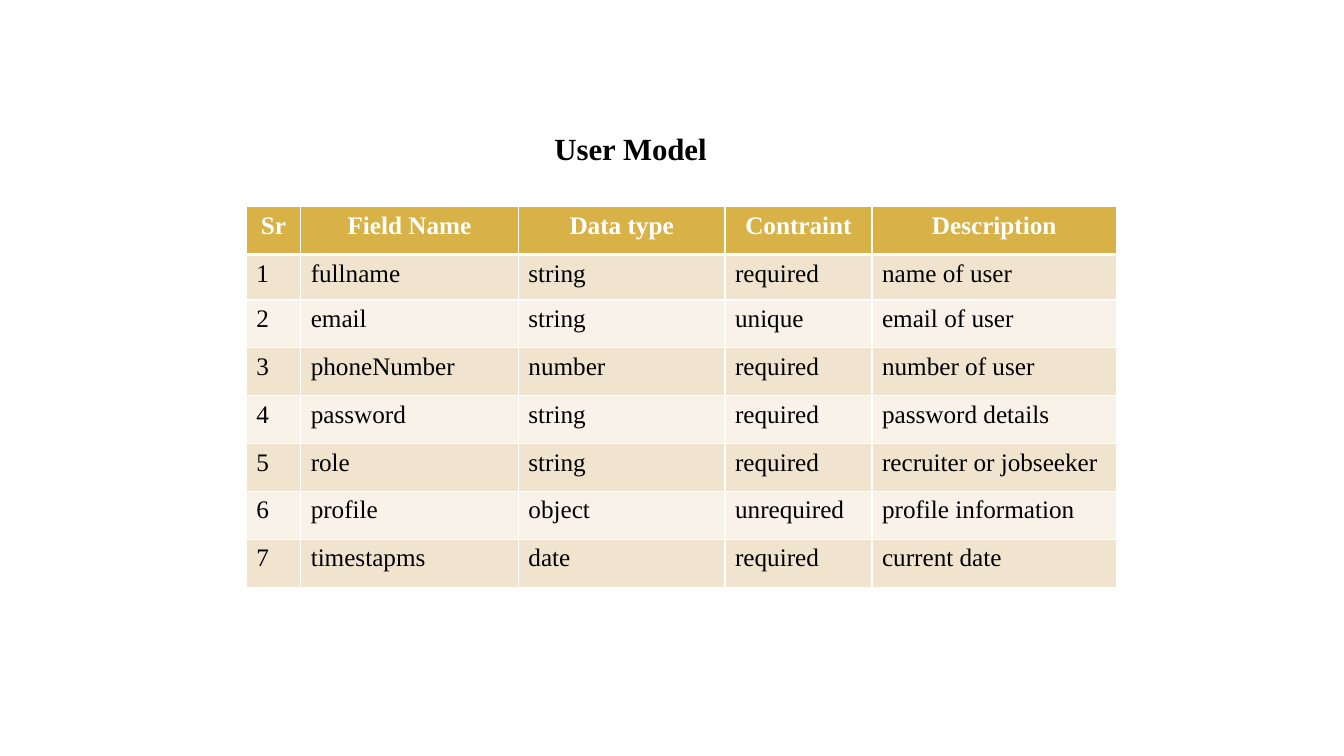
import lxml.etree
import pptx
import pptx.dml.color
import pptx.enum.text
import pptx.oxml.ns
import pptx.util

Pt = pptx.util.Pt
RGBColor = pptx.dml.color.RGBColor

FONT = "Times New Roman"
BLACK = RGBColor(0x00, 0x00, 0x00)
WHITE = RGBColor(0xFF, 0xFF, 0xFF)
GOLD = RGBColor(0xD9, 0xB2, 0x47)
SAND = RGBColor(0xF1, 0xE4, 0xCF)
CREAM = RGBColor(0xF8, 0xF2, 0xE9)

COLUMN_WIDTHS = [38.8, 155.5, 147.6, 105, 174.7]
HEADER_HEIGHT, FIRST_ROW_HEIGHT, ROW_HEIGHT = 34.2, 32.5, 34.2
USER_FIELDS = [
    ("Sr", "Field Name", "Data type", "Contraint", "Description"),
    ("1", "fullname", "string", "required", "name of user"),
    ("2", "email", "string", "unique", "email of user"),
    ("3", "phoneNumber", "number", "required", "number of user"),
    ("4", "password", "string", "required", "password details"),
    ("5", "role", "string", "required", "recruiter or jobseeker"),
    ("6", "profile", "object", "unrequired", "profile information"),
    ("7", "timestapms", "date", "required", "current date"),
]


def style_paragraph(paragraph, size, color, bold):
    font = paragraph.font
    font.name = FONT
    font.size = Pt(size)
    font.bold = bold
    font.color.rgb = color


def set_border(cell, side, width):
    """Add a white border; borders must come before the fill in the cell."""
    qn = pptx.oxml.ns.qn
    properties = cell._tc.get_or_add_tcPr()
    line = lxml.etree.SubElement(properties, qn(f"a:ln{side}"), w=str(Pt(width)))
    fill = lxml.etree.SubElement(line, qn("a:solidFill"))
    lxml.etree.SubElement(fill, qn("a:srgbClr"), val=str(WHITE))


def fill_cell(cell, text, row_index):
    is_header = row_index == 0
    for side in "LRTB":
        touches_header_rule = (row_index, side) in ((0, "B"), (1, "T"))
        set_border(cell, side, 3 if touches_header_rule else 1)
    cell.fill.solid()
    cell.fill.fore_color.rgb = GOLD if is_header else (CREAM, SAND)[row_index % 2]
    cell.text = text
    paragraph = cell.text_frame.paragraphs[0]
    if is_header:
        paragraph.alignment = pptx.enum.text.PP_ALIGN.CENTER
    style_paragraph(paragraph, 18, WHITE if is_header else BLACK, is_header)


def add_field_table(slide, left, top):
    row_heights = [HEADER_HEIGHT, FIRST_ROW_HEIGHT]
    row_heights += [ROW_HEIGHT] * (len(USER_FIELDS) - 2)
    table = slide.shapes.add_table(
        len(row_heights), len(COLUMN_WIDTHS), Pt(left), Pt(top),
        Pt(sum(COLUMN_WIDTHS)), Pt(sum(row_heights))).table
    for column, width in zip(table.columns, COLUMN_WIDTHS):
        column.width = Pt(width)
    for row_index, texts in enumerate(USER_FIELDS):
        table.rows[row_index].height = Pt(row_heights[row_index])
        for column_index, text in enumerate(texts):
            fill_cell(table.cell(row_index, column_index), text, row_index)


def add_title(slide, text, left, top, width, height):
    shape = slide.shapes.add_textbox(Pt(left), Pt(top), Pt(width), Pt(height))
    frame = shape.text_frame
    frame.word_wrap = True
    frame.auto_size = pptx.enum.text.MSO_AUTO_SIZE.SHAPE_TO_FIT_TEXT
    frame.text = text
    style_paragraph(frame.paragraphs[0], 22, BLACK, True)


def main():
    presentation = pptx.Presentation()
    presentation.slide_width = Pt(960)
    presentation.slide_height = Pt(540)
    slide = presentation.slides.add_slide(presentation.slide_layouts[6])

    # Table of the model's fields
    add_field_table(slide, 176, 147.6)

    # Heading above the table
    add_title(slide, "User Model", 389, 89.3, 196.6, 33.9)

    presentation.save("out.pptx")


if __name__ == "__main__":
    main()
